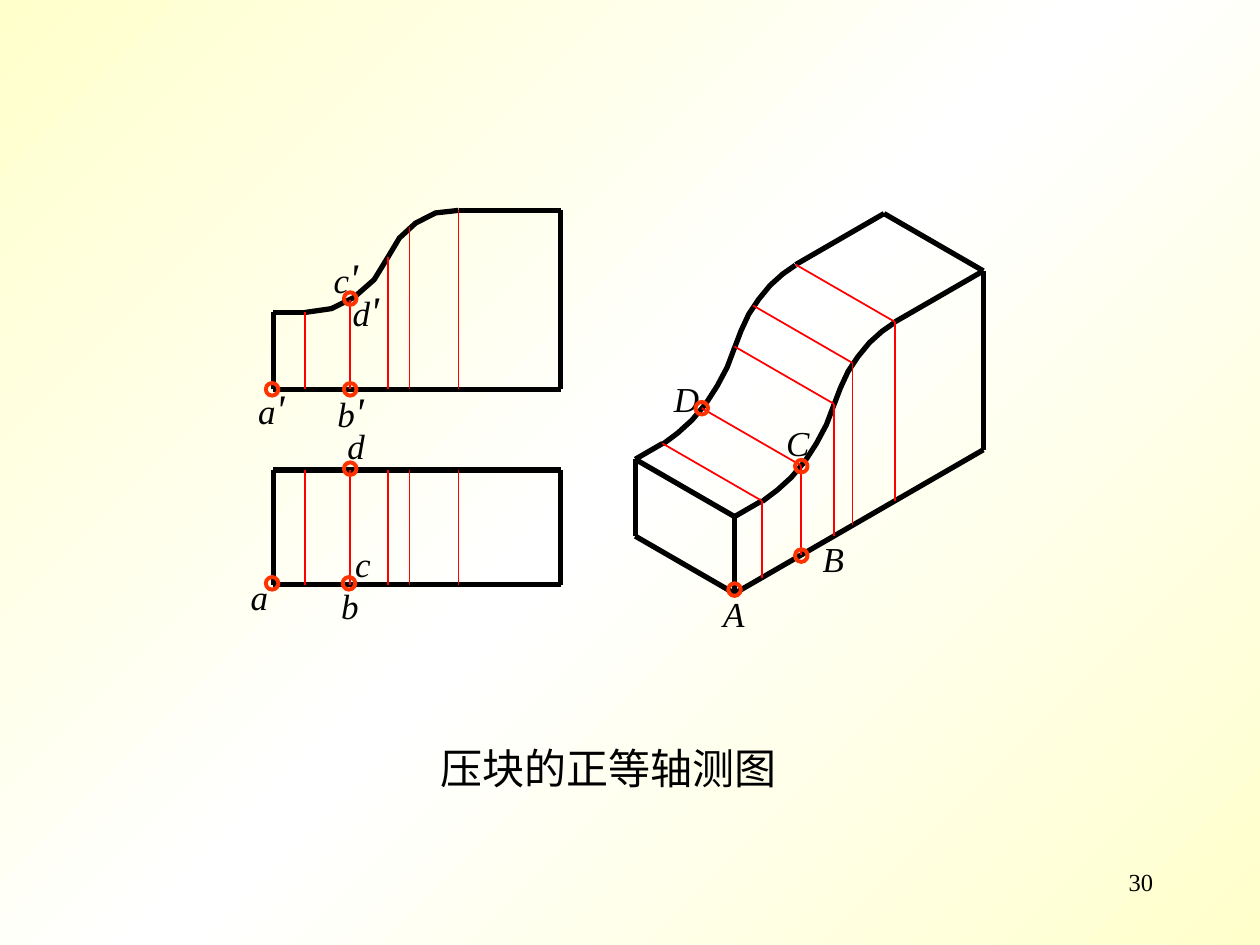
from copy import deepcopy
from dataclasses import dataclass
from itertools import pairwise
from math import cos, pi, sin

from lxml.etree import SubElement
from pptx import Presentation
from pptx.dml.color import RGBColor
from pptx.enum.shapes import MSO_CONNECTOR as Connector, MSO_SHAPE as Preset
from pptx.enum.text import MSO_ANCHOR as Anchor, MSO_AUTO_SIZE as AutoSize, PP_ALIGN as Align
from pptx.oxml.ns import qn
from pptx.util import Cm, Pt

COLORS = {
    "edge": "000000",
    "text": "000000",
    "section": "FF0000",
    "marker": "FF3300",
    "cream": "FFFFCC",
    "white": "FFFFFF",
}
FONT = "Times New Roman"
Point = tuple[float, float]


@dataclass
class Label:
    letter: str
    left: float
    top: float
    prime: bool = False


@dataclass
class Section:
    """A cutting line: distance from the left end and height of the block."""
    x: float
    height: float


# Block geometry in inches
LENGTH, DEPTH, HEIGHT, STEP = 2.28, 0.91, 1.42, 0.61
LEFT, FRONT_BASE, PLAN_TOP = 2.17, 3.09, 3.73
PLAN_BASE = PLAN_TOP + DEPTH
ISO_ORIGIN = (5.83, 4.71)
SECTIONS = [Section(0.25, 0.61), Section(0.61, 0.71), Section(0.91, 1.05),
            Section(1.08, 1.29), Section(1.47, 1.42)]
# Each profile is a lower hollow arc and an upper rounded arc
FRONT_ARCS = [
    [(2.42, 2.48), (2.63, 2.45), (2.81, 2.36), (2.97, 2.22), (3.08, 2.04)],
    [(3.64, 1.67), (3.46, 1.69), (3.3, 1.77), (3.17, 1.89), (3.08, 2.04)],
]
ISO_ARCS = [
    [(6.05, 3.98), (6.17, 3.89), (6.28, 3.79), (6.39, 3.66), (6.48, 3.52),
     (6.56, 3.37), (6.62, 3.21)],
    [(7.1, 2.56), (7, 2.63), (6.9, 2.72), (6.81, 2.83), (6.73, 2.95),
     (6.67, 3.08), (6.62, 3.21)],
]

LABELS = [
    Label("B", 6.43, 4.22), Label("D", 5.25, 2.95),
    Label("C", 6.14, 3.3), Label("A", 5.64, 4.65),
    Label("d", 2.7, 2.21, True), Label("c", 2.55, 1.95, True),
    Label("a", 1.95, 2.99, True), Label("b", 2.58, 3.01, True),
    Label("b", 2.61, 4.59), Label("a", 1.89, 4.52),
    Label("c", 2.72, 4.26), Label("d", 2.66, 3.32),
]
MARKERS = [(6.36, 3.7), (5.83, 4.68), (6.36, 4.41), (5.57, 3.24),
           (2.16, 4.63), (2.16, 3.09), (2.78, 3.72),
           (2.77, 4.63), (2.78, 2.37), (2.78, 3.09)]


def inches(value: float) -> Cm:
    return Cm(value * 2.54)


def color(name: str) -> RGBColor:
    return RGBColor.from_string(COLORS[name])


def isometric(x: float, depth: float, height: float) -> Point:
    across, rise = cos(pi / 6), sin(pi / 6)
    return (ISO_ORIGIN[0] + (x - depth) * across,
            ISO_ORIGIN[1] - (x + depth) * rise - height)


def set_background(slide) -> None:
    fill = slide.background.fill
    fill.gradient()
    fill.gradient_angle = 315
    stop_list = slide.element.find(".//" + qn("a:gsLst"))
    stop_list.insert(1, deepcopy(stop_list[0]))
    for stop, position, name in zip(fill.gradient_stops, (0, 0.5, 1),
                                    ("cream", "white", "cream")):
        stop.position = position
        stop.color.rgb = color(name)


def write_text(shape, runs: list[tuple[str, float]], *, italic: bool = False,
               align=Align.LEFT, grow: bool = True) -> None:
    frame = shape.text_frame
    frame.word_wrap = True
    frame.vertical_anchor = Anchor.TOP
    frame.auto_size = AutoSize.SHAPE_TO_FIT_TEXT if grow else AutoSize.NONE
    paragraph = frame.paragraphs[0]
    paragraph.alignment = align
    for text, size in runs:
        run = paragraph.add_run()
        run.text = text
        run.font.name = FONT
        run.font.size = Pt(size)
        run.font.italic = italic
        run.font.color.rgb = color("text")


def place(shape, left: float, top: float, width: float, height: float) -> None:
    shape.left, shape.top = inches(left), inches(top)
    shape.width, shape.height = inches(width), inches(height)


def draw_line(slide, start: Point, end: Point, name: str, width: float) -> None:
    line = slide.shapes.add_connector(Connector.STRAIGHT, *map(inches, start + end))
    line.line.color.rgb = color(name)
    line.line.width = Pt(width)
    SubElement(line.element.spPr, qn("a:effectLst"))


def draw_edges(slide, *corners: Point) -> None:
    for start, end in pairwise(corners):
        draw_line(slide, start, end, "edge", 3)


def style_outline(shape, name: str, width: float) -> None:
    shape.shadow.inherit = False
    shape.fill.background()
    shape.line.color.rgb = color(name)
    shape.line.width = Pt(width)


def draw_arc(slide, points: list[Point], shift: Point = (0, 0)) -> None:
    corners = [(inches(x + shift[0]), inches(y + shift[1])) for x, y in points]
    builder = slide.shapes.build_freeform(*corners[0])
    builder.add_line_segments(corners[1:], close=False)
    style_outline(builder.convert_to_shape(), "edge", 3)


def draw_marker(slide, center: Point, size: float = 0.1) -> None:
    x, y = center
    circle = slide.shapes.add_shape(Preset.OVAL, *map(inches, (x - size / 2, y - size / 2,
                                                               size, size)))
    style_outline(circle, "marker", 2.25)


def draw_label(slide, label: Label) -> None:
    width, height = (0.67, 0.5) if label.prime else (0.5, 0.44)
    box = slide.shapes.add_textbox(*map(inches, (label.left, label.top, width, height)))
    runs = [(label.letter, 20)] + ([("'", 24)] if label.prime else [])
    write_text(box, runs, italic=True)


def draw_block(slide) -> None:
    right, first, last = LEFT + LENGTH, SECTIONS[0], SECTIONS[-1]
    # Front view
    draw_edges(slide, (LEFT, FRONT_BASE), (LEFT, FRONT_BASE - STEP), FRONT_ARCS[0][0])
    draw_edges(slide, FRONT_ARCS[1][0], (right, FRONT_BASE - HEIGHT),
               (right, FRONT_BASE), (LEFT, FRONT_BASE))
    for arc in FRONT_ARCS:
        draw_arc(slide, arc)
    # Top view, its long edges split where the surface changes
    splits = [LEFT, *[LEFT + SECTIONS[i].x for i in (0, 2, 4)], right]
    for y in (PLAN_BASE, PLAN_TOP):
        draw_edges(slide, *[(x, y) for x in splits])
    for x in (LEFT, right):
        draw_edges(slide, (x, PLAN_BASE), (x, PLAN_TOP))
    # Isometric view: profile edges on the near and far faces
    for depth in (0, DEPTH):
        corner = isometric(0, depth, 0)
        draw_edges(slide, corner, isometric(0, depth, STEP),
                   isometric(first.x, depth, first.height))
        draw_edges(slide, isometric(last.x, depth, last.height),
                   isometric(LENGTH, depth, HEIGHT))
        shift = (corner[0] - ISO_ORIGIN[0], corner[1] - ISO_ORIGIN[1])
        for arc in ISO_ARCS:
            draw_arc(slide, arc, shift)
    # Isometric view: edges along the depth, then the right end and the base
    for x, height in ((0, 0), (0, STEP), (LENGTH, HEIGHT)):
        draw_edges(slide, isometric(x, 0, height), isometric(x, DEPTH, height))
    draw_edges(slide, isometric(LENGTH, 0, HEIGHT), isometric(LENGTH, 0, 0), ISO_ORIGIN)
    # Section lines in all three views
    for section in SECTIONS:
        x = LEFT + section.x
        near = isometric(section.x, 0, section.height)
        for start, end in (
            ((x, FRONT_BASE - section.height), (x, FRONT_BASE)),
            ((x, PLAN_TOP), (x, PLAN_BASE)),
            (near, isometric(section.x, 0, 0)),
            (near, isometric(section.x, DEPTH, section.height)),
        ):
            draw_line(slide, start, end, "section", 1)


def main() -> None:
    presentation = Presentation()
    presentation.slide_width, presentation.slide_height = inches(10), inches(7.5)
    slide = presentation.slides.add_slide(presentation.slide_layouts[5])
    set_background(slide)

    # Title under the drawing
    title = slide.shapes.title
    place(title, 3.33, 5.84, 3, 0.5)
    write_text(title, [("压块的正等轴测图", 24)], align=Align.CENTER)

    # Drawing with its labels and marked points
    draw_block(slide)
    for label in LABELS:
        draw_label(slide, label)
    for center in MARKERS:
        draw_marker(slide, center)

    # Slide number
    number = slide.shapes.add_textbox(*map(inches, (7.17, 6.83, 2.08, 0.5)))
    write_text(number, [("30", 14)], align=Align.RIGHT, grow=False)
    presentation.save("out.pptx")


if __name__ == "__main__":
    main()
